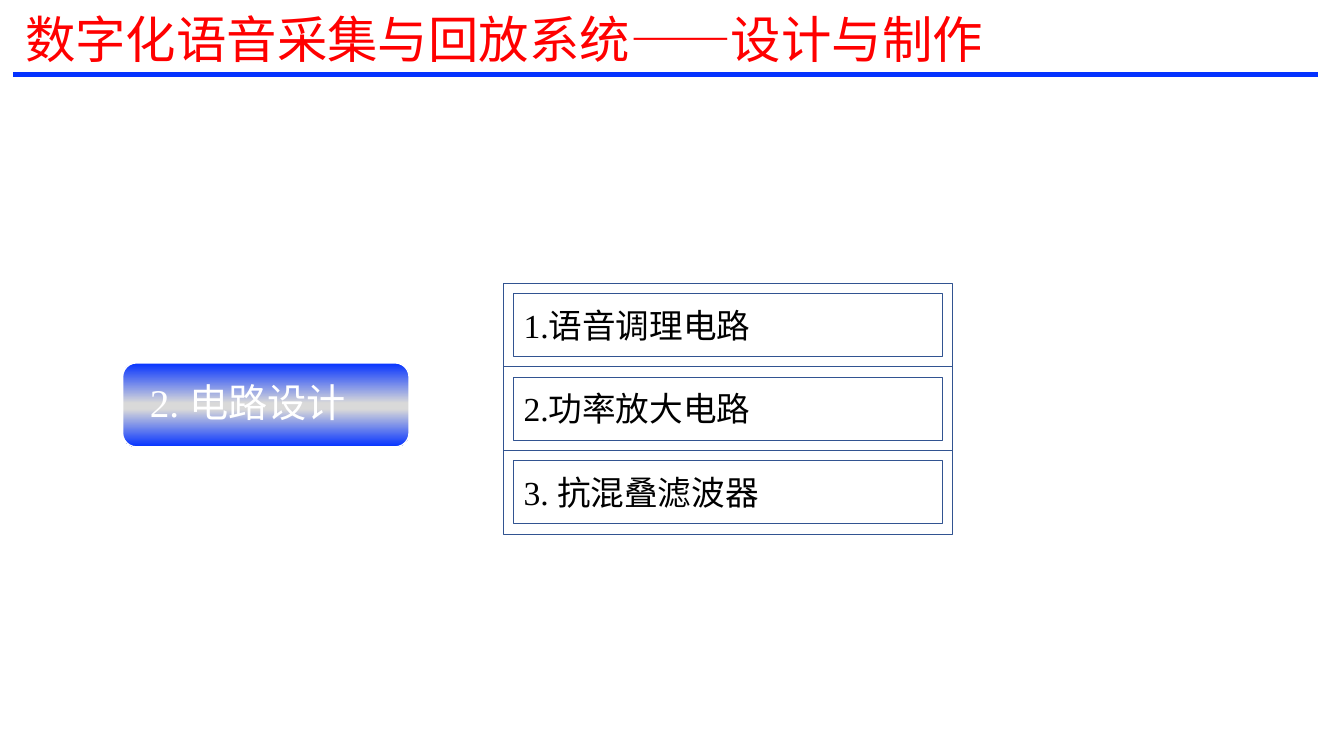
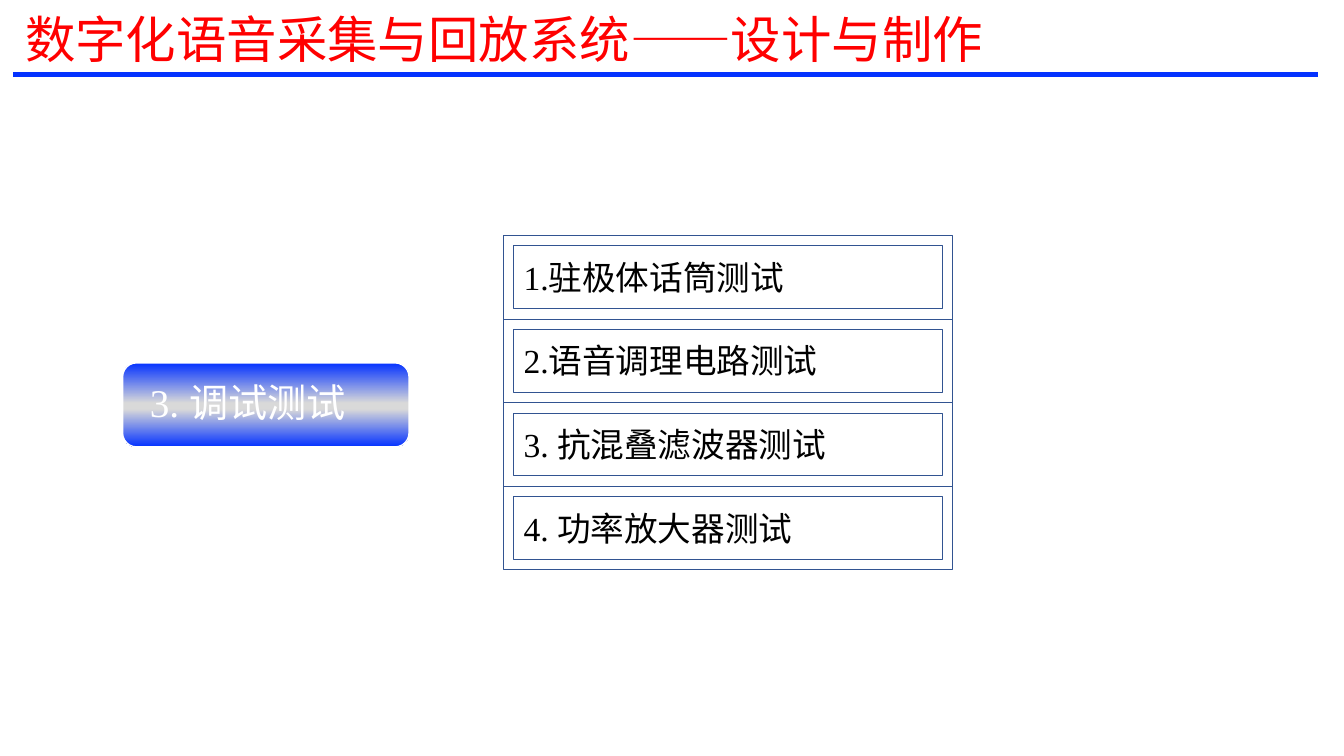
from dataclasses import dataclass

import lxml.etree
import pptx
import pptx.dml.color
import pptx.enum.shapes
import pptx.enum.text
import pptx.oxml
import pptx.oxml.ns
import pptx.shapes.autoshape
import pptx.slide
import pptx.text.text
import pptx.util

SHAPE = pptx.enum.shapes.MSO_SHAPE
ALIGN = pptx.enum.text.PP_ALIGN
ANCHOR = pptx.enum.text.MSO_ANCHOR

SLIDE_WIDTH = pptx.util.Inches(13.33)
SLIDE_HEIGHT = pptx.util.Inches(7.5)
COLUMNS, ROWS = 160, 90


@dataclass(frozen=True)
class Theme:
    title_color: str = "FF0000"
    accent: str = "0432FF"
    badge_middle: str = "D9D9D9"
    badge_text: str = "FFFFFF"
    item_line: str = "325491"
    item_text: str = "000000"
    title_font: str = "Arial"
    body_font: str = "Times New Roman"
    title_size: float = 36
    badge_size: float = 28
    item_size: float = 24
    rule_width: float = 3.25
    badge_line_width: float = 1
    item_line_width: float = 0.25


@dataclass(frozen=True)
class Box:
    """A place on the slide, in grid columns and rows."""
    column: float
    row: float
    columns: float
    rows: float

    def emu(self) -> tuple[int, int, int, int]:
        return (across(self.column), down(self.row),
                across(self.columns), down(self.rows))


@dataclass(frozen=True)
class Section:
    heading: str
    items: tuple[str, ...]
    first_row: float


THEME = Theme()
TITLE = "数字化语音采集与回放系统——设计与制作"
TITLE_BOX = Box(0, 0, 120, 8.9)
RULE_START, RULE_END, RULE_ROW = 1.6, 156.9, 8.9
BADGE_BOX = Box(14.6, 43.2, 34.1, 10)
ITEM_COLUMN, ITEM_COLUMNS, ITEM_ROWS = 59.9, 53.5, 9.95

SECTIONS = (
    Section("2. 电路设计",
            ("1.语音调理电路", "2.功率放大电路", "3. 抗混叠滤波器"), 33.7),
    Section("3. 调试测试",
            ("1.驻极体话筒测试", "2.语音调理电路测试",
             "3. 抗混叠滤波器测试", "4. 功率放大器测试"), 28),
)


def across(columns: float) -> int:
    return round(SLIDE_WIDTH * columns / COLUMNS)


def down(rows: float) -> int:
    return round(SLIDE_HEIGHT * rows / ROWS)


def rgb(color: str) -> pptx.dml.color.RGBColor:
    return pptx.dml.color.RGBColor.from_string(color)


def write(frame: pptx.text.text.TextFrame, text: str, font: str, size: float,
          color: str, align: ALIGN = ALIGN.LEFT, anchor: ANCHOR = ANCHOR.MIDDLE,
          line_spacing: float = 1.0) -> None:
    frame.text = text
    frame.word_wrap = True
    frame.auto_size = pptx.enum.text.MSO_AUTO_SIZE.NONE
    frame.vertical_anchor = anchor
    paragraph = frame.paragraphs[0]
    paragraph.alignment = align
    paragraph.line_spacing = line_spacing
    paragraph.font.name = font
    paragraph.font.size = pptx.util.Pt(size)
    paragraph.font.color.rgb = rgb(color)


def add_outlined(slide: pptx.slide.Slide, kind: SHAPE, box: Box, color: str,
                 width: float) -> pptx.shapes.autoshape.Shape:
    shape = slide.shapes.add_shape(kind, *box.emu())
    shape.shadow.inherit = False
    shape.line.color.rgb = rgb(color)
    shape.line.width = pptx.util.Pt(width)
    return shape


def fill_badge(badge: pptx.shapes.autoshape.Shape) -> None:
    """Run the accent colour into a pale middle band and back, top to bottom."""
    badge.fill.gradient()
    badge.fill.gradient_angle = 270
    stops = badge.fill._fill._gradFill.find(pptx.oxml.ns.qn("a:gsLst"))
    for stop in list(stops):
        stops.remove(stop)
    for percent, color in ((0, THEME.accent), (48, THEME.badge_middle),
                           (55, THEME.badge_middle), (100, THEME.accent)):
        stop = lxml.etree.SubElement(stops, pptx.oxml.ns.qn("a:gs"),
                                     pos=str(percent * 1000))
        lxml.etree.SubElement(stop, pptx.oxml.ns.qn("a:srgbClr"), val=color)


def add_header(slide: pptx.slide.Slide) -> None:
    title = slide.shapes.title
    title.left, title.top, title.width, title.height = TITLE_BOX.emu()
    write(title.text_frame, TITLE, THEME.title_font, THEME.title_size,
          THEME.title_color, ALIGN.CENTER, ANCHOR.BOTTOM, 0.9)
    rule = slide.shapes.add_connector(
        pptx.enum.shapes.MSO_CONNECTOR.STRAIGHT,
        across(RULE_START), down(RULE_ROW), across(RULE_END), down(RULE_ROW))
    rule.line.color.rgb = rgb(THEME.accent)
    rule.line.width = pptx.util.Pt(THEME.rule_width)
    lxml.etree.SubElement(rule._element.spPr, pptx.oxml.ns.qn("a:effectLst"))


def add_badge(slide: pptx.slide.Slide, heading: str) -> None:
    badge = add_outlined(slide, SHAPE.ROUNDED_RECTANGLE, BADGE_BOX,
                         THEME.badge_text, THEME.badge_line_width)
    fill_badge(badge)
    frame = badge.text_frame
    frame.margin_left = frame.margin_right = pptx.util.Inches(0.23)
    frame.margin_top = frame.margin_bottom = 0
    write(frame, heading, THEME.body_font, THEME.badge_size,
          THEME.badge_text, line_spacing=0.9)


def add_items(slide: pptx.slide.Slide, section: Section) -> None:
    for index, text in enumerate(section.items):
        box = Box(ITEM_COLUMN, section.first_row + index * ITEM_ROWS,
                  ITEM_COLUMNS, ITEM_ROWS)
        item = add_outlined(slide, SHAPE.FRAME, box, THEME.item_line,
                            THEME.item_line_width)
        item.fill.background()
        write(item.text_frame, text, THEME.body_font, THEME.item_size,
              THEME.item_text)


def main() -> None:
    deck = pptx.Presentation()
    deck.slide_width, deck.slide_height = SLIDE_WIDTH, SLIDE_HEIGHT
    title_only = deck.slide_layouts.get_by_name("Title Only")
    for section in SECTIONS:
        slide = deck.slides.add_slide(title_only)
        add_header(slide)
        add_badge(slide, section.heading)
        add_items(slide, section)
    deck.save("out.pptx")


if __name__ == "__main__":
    main()
